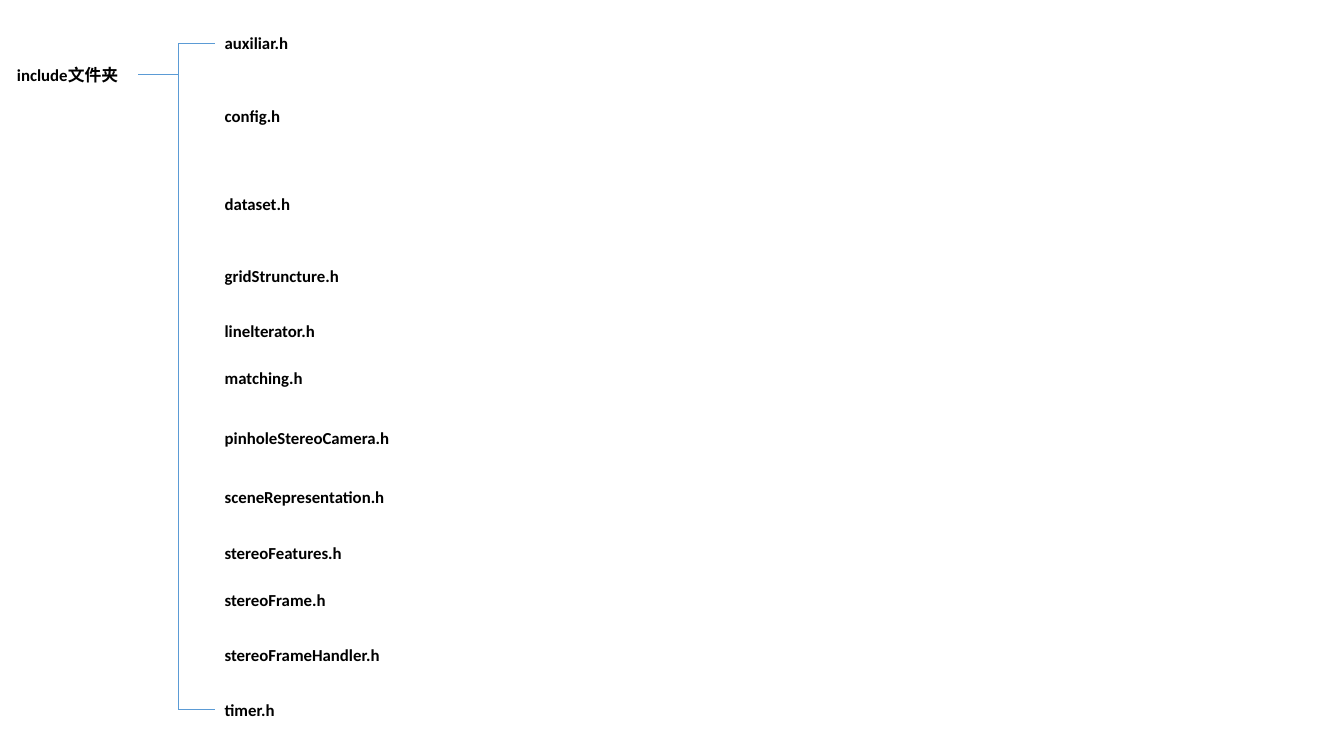
from pptx import Presentation, util as u
from pptx.dml.color import RGBColor
from pptx.enum import shapes, text
from pptx.oxml.ns import qn
from lxml import etree

BLACK = RGBColor(0x00, 0x00, 0x00)
BLUE = RGBColor(0x5B, 0x9B, 0xD5)

FOLDER = ("include文件夹", 0.59, 1.29)
HEADERS = [
    ("auxiliar.h", 0.28, 1.11),
    ("config.h", 1.0, 1.11),
    ("dataset.h", 1.87, 1.11),
    ("gridStruncture.h", 2.59, 1.66),
    ("linelterator.h", 3.13, 1.66),
    ("matching.h", 3.6, 1.66),
    ("pinholeStereoCamera.h", 4.19, 2),
    ("sceneRepresentation.h", 4.78, 2),
    ("stereoFeatures.h", 5.34, 2),
    ("stereoFrame.h", 5.8, 2),
    ("stereoFrameHandler.h", 6.35, 2),
    ("timer.h", 6.89, 2),
]
FONT = {"name": "Calibri", "size": u.Pt(12), "bold": True}
FRAME = {"word_wrap": True, "auto_size": text.MSO_AUTO_SIZE.SHAPE_TO_FIT_TEXT}
FOLDER_X, STEM_X, TRUNK_X, HEADER_X = 0.07, 1.37, 1.77, 2.13
ROW_H = 0.3

prs = Presentation()
prs.slide_width, prs.slide_height = u.Inches(13.33), u.Inches(7.5)
s = prs.slides.add_slide(prs.slide_layouts[6])


def set_all(obj, values):
    for name, value in values.items():
        setattr(obj, name, value)


def add_label(x, label, y, w):
    sp = s.shapes.add_textbox(*map(u.Inches, (x, y, w, ROW_H)))
    tf = sp.text_frame
    set_all(tf, FRAME)
    r = tf.paragraphs[0].add_run()
    r.text = label
    set_all(r.font, FONT)
    r.font.color.rgb = BLACK


def add_line(*ends):
    sp = s.shapes.add_connector(shapes.MSO_CONNECTOR.STRAIGHT, *map(u.Inches, ends))
    sp.line.color.rgb = BLUE
    sp.line.width = u.Pt(0.5)
    etree.SubElement(sp._element.spPr, qn("a:effectLst"))


stem_y, top, bottom = (y + ROW_H / 2 for _, y, _ in (FOLDER, HEADERS[0], HEADERS[-1]))

add_label(FOLDER_X, *FOLDER)
add_line(STEM_X, stem_y, TRUNK_X, stem_y)
add_line(TRUNK_X, top, TRUNK_X, bottom)
for y in (top, bottom):
    add_line(TRUNK_X, y, HEADER_X, y)
for header in HEADERS:
    add_label(HEADER_X, *header)

prs.save("out.pptx")
